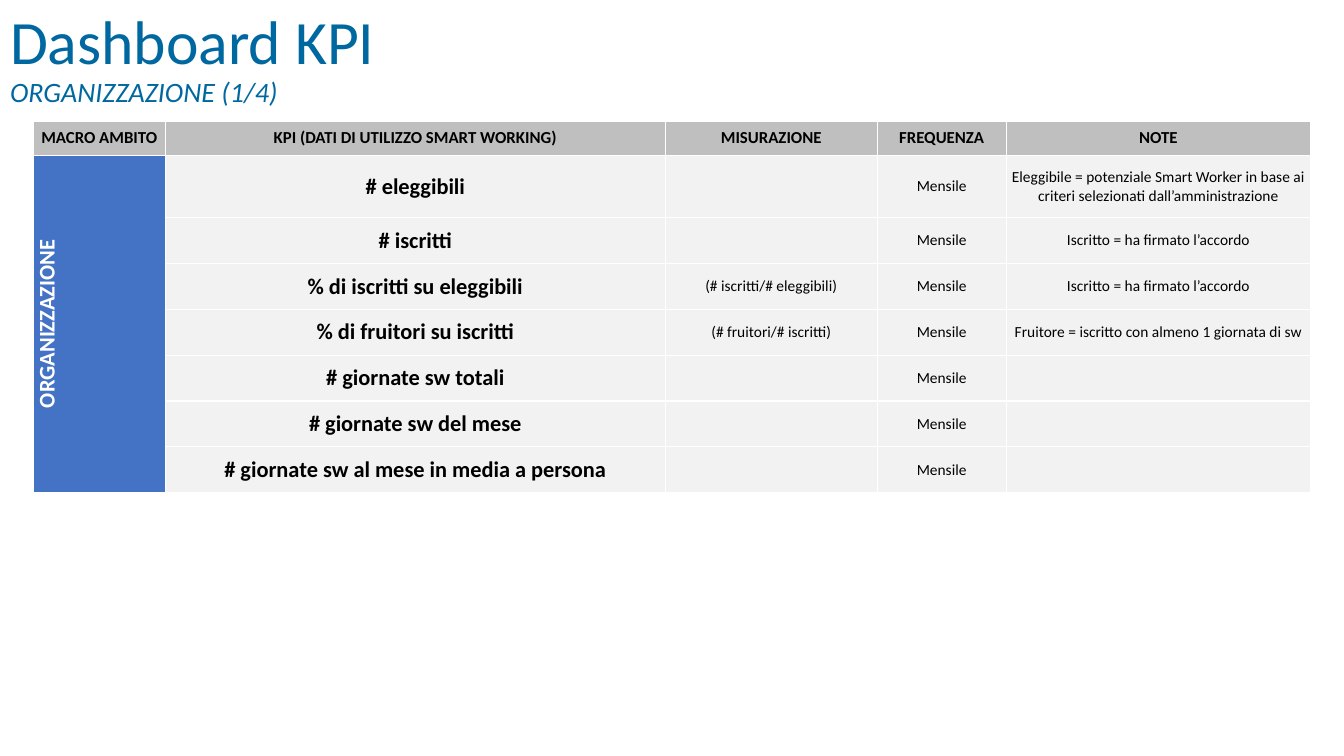
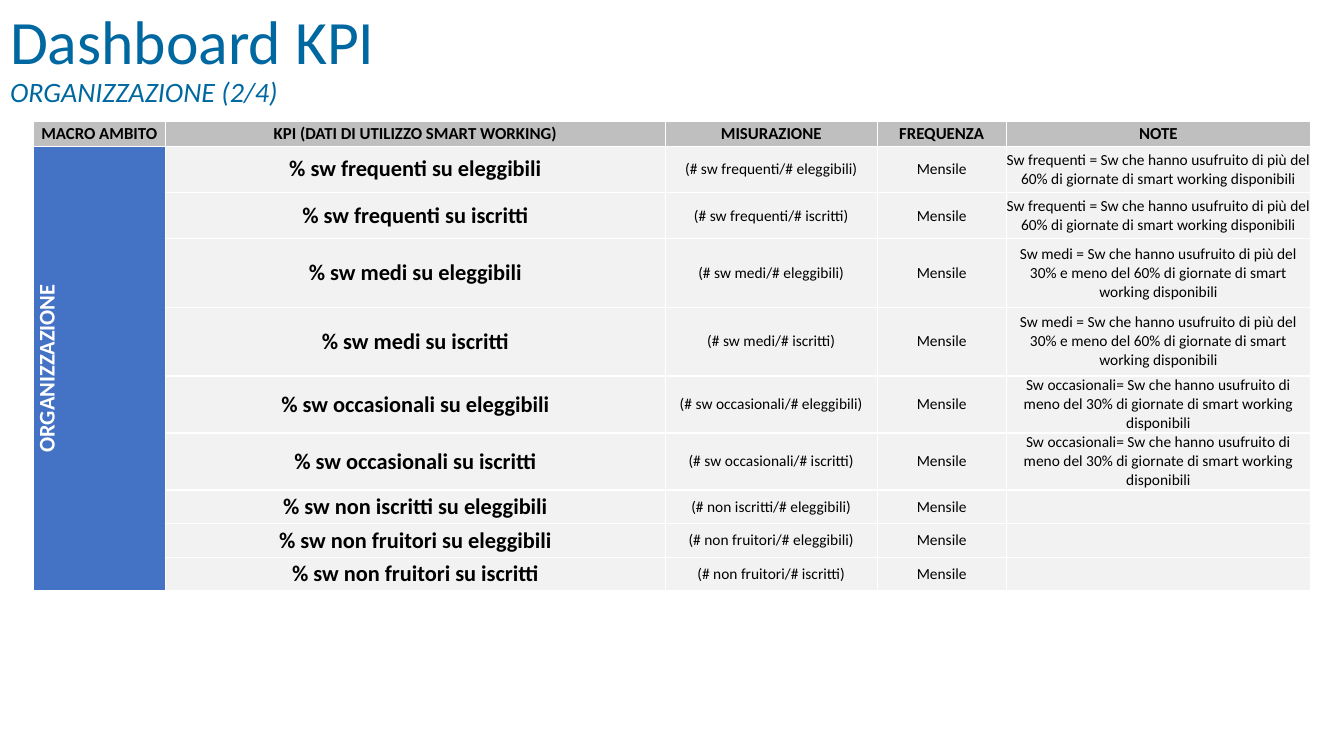
"""Build the two smart working KPI dashboard slides."""
from dataclasses import dataclass

from pptx import Presentation
from pptx.dml.color import RGBColor
from pptx.enum.text import MSO_ANCHOR, MSO_AUTO_SIZE, PP_ALIGN
from pptx.slide import Slide
from pptx.table import _Cell as Cell
from pptx.util import Inches, Pt


@dataclass(frozen=True)
class Theme:
    """Colours, font and type sizes of the deck."""
    font: str = "Calibri"
    title: str = "0068A0"
    head: str = "BFBFBF"
    scope: str = "4472C4"
    body: str = "F2F2F2"
    black: str = "000000"
    white: str = "FFFFFF"
    large: int = 44
    sub: int = 20
    name: int = 16
    label: int = 12
    small: int = 11


@dataclass(frozen=True)
class Look:
    """Fill and type of a table cell."""
    fill: str
    size: int
    ink: str = Theme.black
    bold: bool = True


@dataclass(frozen=True)
class Kpi:
    """One table row; a row with no height shares what the others leave."""
    name: str
    ratio: str = ""
    note: str = ""
    height: float = 0


@dataclass(frozen=True)
class Sheet:
    """One slide: its page mark, table heights and rows."""
    page: str
    total: float
    head: float
    rows: tuple[Kpi, ...]


THEME = Theme()
HEAD = Look(THEME.head, THEME.label)
SCOPE = Look(THEME.scope, THEME.name, THEME.white)
NAME = Look(THEME.body, THEME.name)
PLAIN = Look(THEME.body, THEME.small, bold=False)

AREA = "ORGANIZZAZIONE"
RATE = "Mensile"
HEADS = ("MACRO AMBITO", "KPI (DATI DI UTILIZZO SMART WORKING)",
         "MISURAZIONE", "FREQUENZA", "NOTE")
WIDTHS = (1.31, 4.96, 2.1, 1.28, 3.02)
LEFT, TOP = 0.33, 1.2

SIGNED = "Iscritto = ha firmato l’accordo"
OFTEN = ("Sw frequenti = Sw che hanno usufruito di più del 60% "
         "di giornate di smart working disponibili")
MEDIUM = ("Sw medi = Sw che hanno usufruito di più del 30% e meno del 60% "
          "di giornate di smart working disponibili")
SELDOM = ("Sw occasionali= Sw che hanno usufruito di meno del 30% "
          "di giornate di smart working disponibili")

SHEETS = (
    Sheet("1/4", 3.69, 0.34, (
        Kpi("# eleggibili", note="Eleggibile = potenziale Smart Worker in base "
            "ai criteri selezionati dall’amministrazione", height=0.62),
        Kpi("# iscritti", note=SIGNED),
        Kpi("% di iscritti su eleggibili", "(# iscritti/# eleggibili)", SIGNED),
        Kpi("% di fruitori su iscritti", "(# fruitori/# iscritti)",
            "Fruitore = iscritto con almeno 1 giornata di sw"),
        Kpi("# giornate sw totali"),
        Kpi("# giornate sw del mese"),
        Kpi("# giornate sw al mese in media a persona"),
    )),
    Sheet("2/4", 4.45, 0.25, (
        Kpi("% sw frequenti su eleggibili", "(# sw frequenti/# eleggibili)", OFTEN, 0.46),
        Kpi("% sw frequenti su iscritti", "(# sw frequenti/# iscritti)", OFTEN, 0.46),
        Kpi("% sw medi su eleggibili", "(# sw medi/# eleggibili)", MEDIUM, 0.68),
        Kpi("% sw medi su iscritti", "(# sw medi/# iscritti)", MEDIUM, 0.68),
        Kpi("% sw occasionali su eleggibili", "(# sw occasionali/# eleggibili)", SELDOM, 0.46),
        Kpi("% sw occasionali su iscritti", "(# sw occasionali/# iscritti)", SELDOM, 0.46),
        Kpi("% sw non iscritti su eleggibili", "(# non iscritti/# eleggibili)"),
        Kpi("% sw non fruitori su eleggibili", "(# non fruitori/# eleggibili)"),
        Kpi("% sw non fruitori su iscritti", "(# non fruitori/# iscritti)"),
    )),
)


def add_title(slide: Slide, page: str) -> None:
    """Place the title with its italic second line."""
    title = slide.shapes.title
    title.left, title.top = Inches(0), Inches(-0.13)
    title.width, title.height = Inches(11.5), Inches(1.45)
    frame = title.text_frame
    frame.text = f"Dashboard KPI\v{AREA} ({page})"
    frame.auto_size = MSO_AUTO_SIZE.NONE
    frame.vertical_anchor = MSO_ANCHOR.MIDDLE
    line = frame.paragraphs[0]
    line.alignment = PP_ALIGN.LEFT
    line.line_spacing = 0.9
    for run, size in zip(line.runs, (THEME.large, THEME.sub)):
        run.font.name = THEME.font
        run.font.size = Pt(size)
        run.font.color.rgb = RGBColor.from_string(THEME.title)
        run.font.italic = size == THEME.sub


def fill_cell(cell: Cell, text: str, look: Look) -> None:
    """Write and format one cell without margins."""
    cell.margin_left = cell.margin_right = 0
    cell.margin_top = cell.margin_bottom = 0
    cell.vertical_anchor = MSO_ANCHOR.MIDDLE
    cell.fill.solid()
    cell.fill.fore_color.rgb = RGBColor.from_string(look.fill)
    line = cell.text_frame.paragraphs[0]
    line.text = text
    line.alignment = PP_ALIGN.CENTER
    for run in line.runs:
        run.font.name = THEME.font
        run.font.size = Pt(look.size)
        run.font.bold = look.bold
        run.font.color.rgb = RGBColor.from_string(look.ink)


def add_grid(slide: Slide, sheet: Sheet) -> None:
    """Draw the KPI table with its merged scope column."""
    count = len(sheet.rows)
    table = slide.shapes.add_table(
        count + 1, len(HEADS), Inches(LEFT), Inches(TOP),
        Inches(sum(WIDTHS)), Inches(sheet.total)).table
    table.horz_banding = False
    for column, width in zip(table.columns, WIDTHS):
        column.width = Inches(width)

    fixed = [kpi.height for kpi in sheet.rows]
    share = (sheet.total - sheet.head - sum(fixed)) / fixed.count(0)
    heights = [sheet.head] + [height or share for height in fixed]
    for row, height in zip(table.rows, heights):
        row.height = Inches(height)

    for index, text in enumerate(HEADS):
        fill_cell(table.cell(0, index), text, HEAD)
    looks = (SCOPE, NAME, PLAIN, PLAIN, PLAIN)
    for place, kpi in enumerate(sheet.rows, 1):
        area = AREA if place == 1 else ""
        texts = (area, kpi.name, kpi.ratio, RATE, kpi.note)
        for index, (text, look) in enumerate(zip(texts, looks)):
            fill_cell(table.cell(place, index), text, look)
    scope = table.cell(1, 0)
    scope.merge(table.cell(count, 0))
    scope._tc.get_or_add_tcPr().set("vert", "vert270")


def main() -> None:
    """Build and save the deck."""
    deck = Presentation()
    deck.slide_width, deck.slide_height = Inches(13.33), Inches(7.5)
    for sheet in SHEETS:
        slide = deck.slides.add_slide(deck.slide_layouts[5])
        add_grid(slide, sheet)
        add_title(slide, sheet.page)
    deck.save("out.pptx")


if __name__ == "__main__":
    main()
